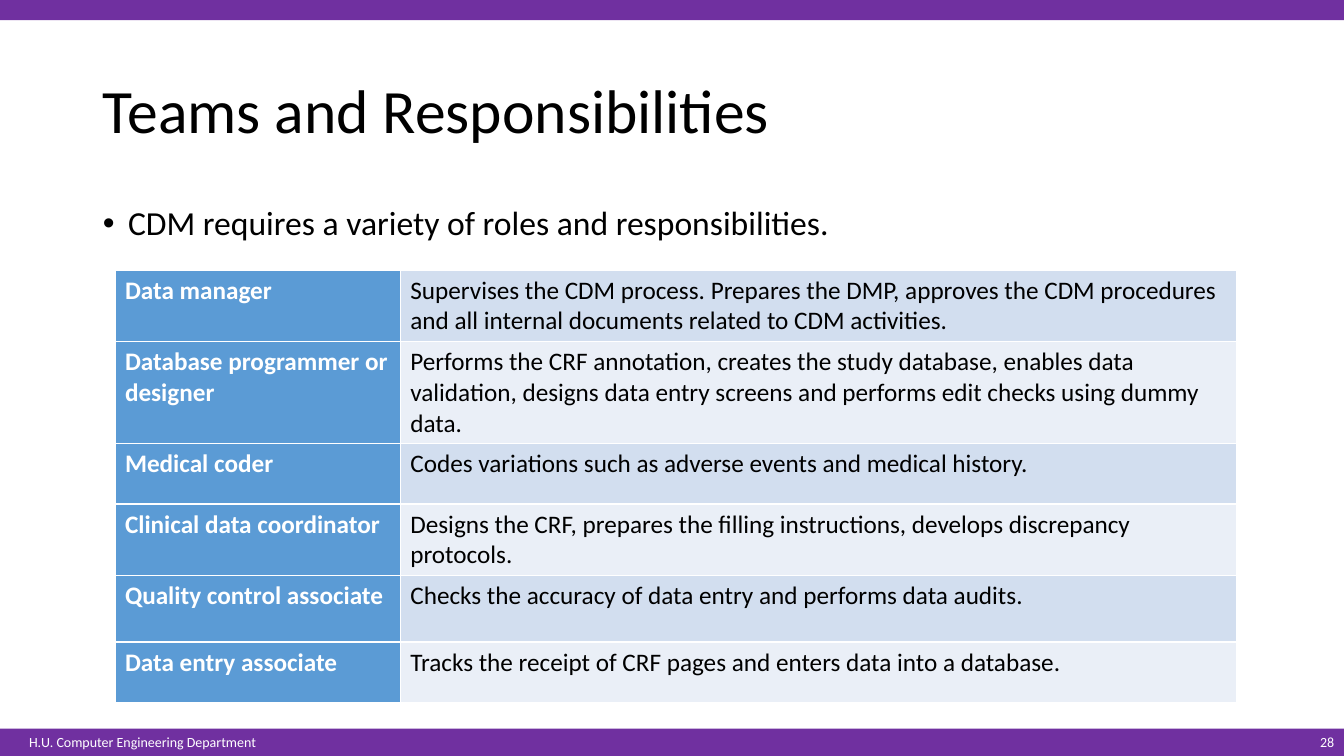
from lxml import etree
from pptx import Presentation
from pptx.dml.color import RGBColor
from pptx.enum.shapes import MSO_SHAPE
from pptx.enum.text import MSO_ANCHOR, MSO_AUTO_SIZE, PP_ALIGN
from pptx.oxml.ns import qn
from pptx.util import Inches, Pt

RECTANGLE = MSO_SHAPE.RECTANGLE
TOP, MIDDLE = MSO_ANCHOR.TOP, MSO_ANCHOR.MIDDLE
LEFT, RIGHT = PP_ALIGN.LEFT, PP_ALIGN.RIGHT
NO_AUTOFIT = MSO_AUTO_SIZE.NONE

WIDTH, HEIGHT = 13.33, 7.5
FOOTER_HEIGHT = 0.27
MARGIN, CONTENT_WIDTH = 0.92, 11.5
FONT = "Calibri"
PURPLE, BLUE, WHITE, BLACK = "7030A0", "5B9BD5", "FFFFFF", "000000"
BANDS = ("D2DEEF", "EAEFF7")

COLUMN_WIDTHS = (2.83, 8.29)
# Role, responsibility, row height
ROLES = [
    ("Data manager",
     "Supervises the CDM process. Prepares the DMP, approves the CDM procedures "
     "and all internal documents related to CDM activities.", 0.71),
    ("Database programmer or designer",
     "Performs the CRF annotation, creates the study database, enables data "
     "validation, designs data entry screens and performs edit checks using "
     "dummy data.", 1.01),
    ("Medical coder",
     "Codes variations such as adverse events and medical history.", 0.6),
    ("Clinical data coordinator",
     "Designs the CRF, prepares the filling instructions, develops discrepancy "
     "protocols.", 0.71),
    ("Quality control associate",
     "Checks the accuracy of data entry and performs data audits.", 0.66),
    ("Data entry associate",
     "Tracks the receipt of CRF pages and enters data into a database.", 0.6),
]


def color(hex_value):
    return RGBColor.from_string(hex_value)


def apply(target, formats):
    for name, value in formats.items():
        setattr(target, name, value)


def write(text_frame, text, size, text_color, bold=False, **paragraph_formats):
    """Put one formatted paragraph in a text frame and return it."""
    paragraph = text_frame.paragraphs[0]
    apply(paragraph, paragraph_formats)
    run = paragraph.add_run()
    run.text = text
    apply(run.font, {"name": FONT, "size": Pt(size), "bold": bold})
    run.font.color.rgb = color(text_color)
    return paragraph


def place(shape, box):
    apply(shape, dict(zip(("left", "top", "width", "height"), map(Inches, box))))


def add_band(slide, box):
    band = slide.shapes.add_shape(RECTANGLE, *map(Inches, box))
    band.shadow.inherit = False
    band.fill.solid()
    band.fill.fore_color.rgb = color(PURPLE)
    band.line.fill.background()


def add_label(slide, box, text, alignment, anchor):
    text_frame = slide.shapes.add_textbox(*map(Inches, box)).text_frame
    apply(text_frame, {"word_wrap": True, "vertical_anchor": anchor})
    write(text_frame, text, 10, WHITE, alignment=alignment)


def add_footer(slide, box):
    left, top, width, height = box
    add_band(slide, box)
    add_label(slide, (left + 0.19, top, 2.6, height),
              "H.U. Computer Engineering Department", LEFT, TOP)
    number_width = 0.08 * width
    add_label(slide, (left + width - number_width, top, number_width, height),
              "28", RIGHT, MIDDLE)


def fill_title(slide, box):
    title = slide.shapes.title
    place(title, box)
    apply(title.text_frame, {"vertical_anchor": MIDDLE, "auto_size": NO_AUTOFIT})
    write(title.text_frame, "Teams and Responsibilities", 44, BLACK,
          alignment=LEFT, line_spacing=0.9)


def fill_body(slide, box):
    body = slide.placeholders[1]
    place(body, box)
    body.text_frame.auto_size = NO_AUTOFIT
    paragraph = write(body.text_frame,
                      "CDM requires a variety of roles and responsibilities.",
                      24, BLACK, line_spacing=0.9, space_before=Pt(10))
    # Hanging bullet
    properties = paragraph._p.get_or_add_pPr()
    properties.set("marL", str(Inches(0.25)))
    properties.set("indent", str(Inches(-0.25)))
    etree.SubElement(properties, qn("a:buChar")).set("char", "•")


def add_borders(cell):
    properties = cell._tc.get_or_add_tcPr()
    for side in ("a:lnL", "a:lnR", "a:lnT", "a:lnB"):
        line = etree.SubElement(properties, qn(side), w=str(Pt(1)))
        fill = etree.SubElement(line, qn("a:solidFill"))
        etree.SubElement(fill, qn("a:srgbClr"), val=WHITE)


def fill_cell(cell, text, fill, text_color, bold):
    add_borders(cell)
    cell.fill.solid()
    cell.fill.fore_color.rgb = color(fill)
    write(cell.text_frame, text, 18, text_color, bold)


def add_roles_table(slide, left, top):
    box = (left, top, sum(COLUMN_WIDTHS), sum(row[2] for row in ROLES))
    table = slide.shapes.add_table(
        len(ROLES), len(COLUMN_WIDTHS), *map(Inches, box)).table
    apply(table, {"first_row": False, "first_col": True})
    for column, width in zip(table.columns, COLUMN_WIDTHS):
        column.width = Inches(width)
    for index, (role, duty, height) in enumerate(ROLES):
        table.rows[index].height = Inches(height)
        fill_cell(table.cell(index, 0), role, BLUE, WHITE, True)
        fill_cell(table.cell(index, 1), duty, BANDS[index % 2], BLACK, False)


def main():
    presentation = Presentation()
    apply(presentation, {"slide_width": Inches(WIDTH),
                         "slide_height": Inches(HEIGHT)})
    slide = presentation.slides.add_slide(presentation.slide_layouts[1])
    add_band(slide, (0, 0, WIDTH, 0.2))
    add_footer(slide, (0, HEIGHT - FOOTER_HEIGHT, WIDTH, FOOTER_HEIGHT))
    fill_title(slide, (MARGIN, 0.4, CONTENT_WIDTH, 1.45))
    fill_body(slide, (MARGIN, 2, CONTENT_WIDTH, 4.76))
    add_roles_table(slide, 1.14, 2.68)
    presentation.save("out.pptx")


if __name__ == "__main__":
    main()
